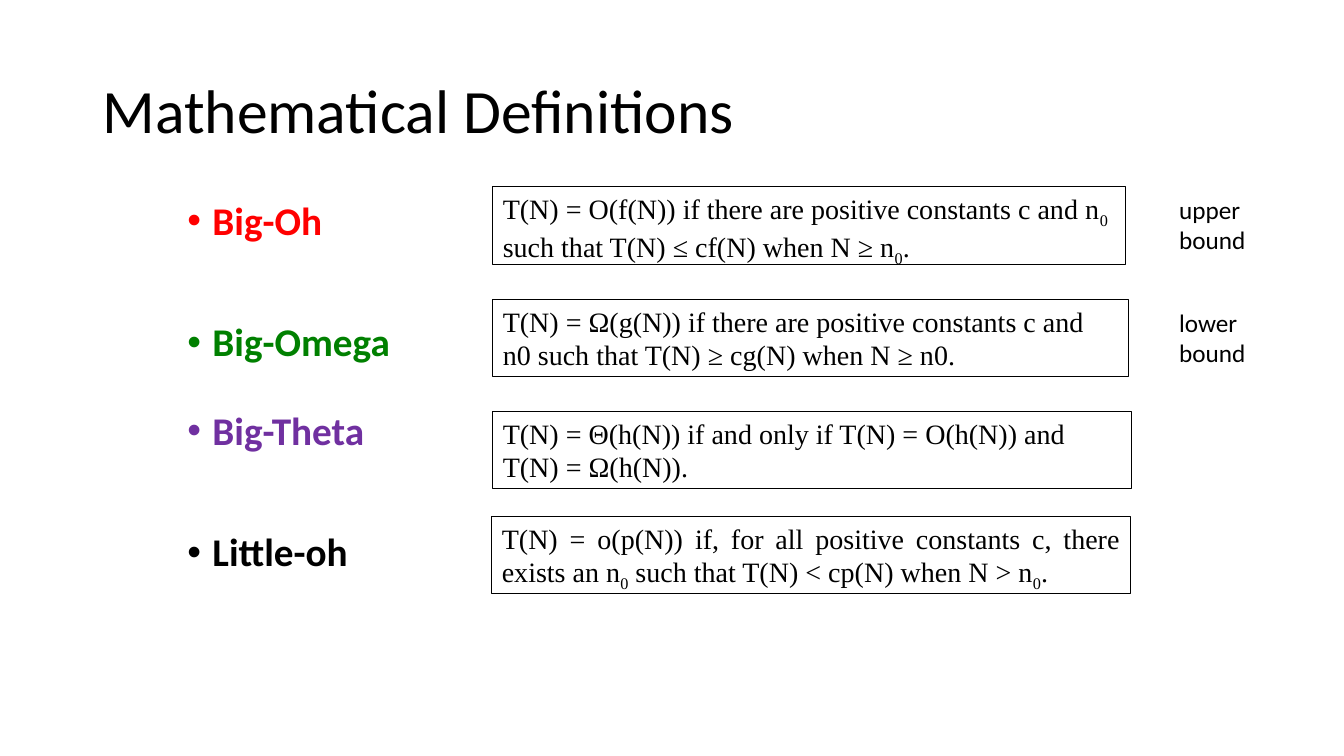
from dataclasses import dataclass

from lxml.etree import SubElement
from pptx import Presentation
from pptx.dml.color import RGBColor
from pptx.enum.shapes import MSO_SHAPE
from pptx.enum.text import MSO_ANCHOR, PP_ALIGN
from pptx.oxml.ns import qn
from pptx.shapes.autoshape import Shape
from pptx.slide import Slide
from pptx.util import Emu, Inches, Pt

BLACK = RGBColor(0x00, 0x00, 0x00)
RED = RGBColor(0xFF, 0x00, 0x00)
GREEN = RGBColor(0x00, 0x80, 0x00)
PURPLE = RGBColor(0x70, 0x30, 0xA0)

SLIDE_WIDTH, SLIDE_HEIGHT = Inches(13.33), Inches(7.5)
COLUMN, ROW = SLIDE_WIDTH / 40, SLIDE_HEIGHT / 30
STATEMENT_ROWS = 3.08
BOUND_DROP = 0.12
INDENT = Inches(0.25)


@dataclass(frozen=True)
class Definition:
    """One notation; underscores in the statement enclose subscripts."""
    term: str
    color: RGBColor
    gap_before: float
    statement: str
    column: float
    row: float
    columns: float
    align: PP_ALIGN = PP_ALIGN.LEFT
    bound: tuple[str, ...] = ()


DEFINITIONS = (
    Definition("Big-Oh", RED, 0,
               "T(N) = O(f(N)) if there are positive constants c and n_0_ "
               "such that T(N) ≤ cf(N) when N ≥ n_0_.",
               14.67, 7.4, 18.84, bound=("upper bound",)),
    Definition("Big-Omega", GREEN, 56.4,
               "T(N) = Ω(g(N)) if there are positive constants c and n0 "
               "such that T(N) ≥ cg(N) when N ≥ n0.",
               14.67, 11.88, 18.93, bound=("lower", "bound")),
    Definition("Big-Theta", PURPLE, 33.2,
               "T(N) = Θ(h(N)) if and only if T(N) = O(h(N)) and T(N) = Ω(h(N)).",
               14.67, 16.32, 19),
    Definition("Little-oh", BLACK, 56.4,
               "T(N) = o(p(N)) if, for all positive constants c, there exists "
               "an n_0_ such that T(N) < cp(N) when N > n_0_.",
               14.64, 20.48, 19, align=PP_ALIGN.JUSTIFY),
)


def grid_box(column: float, row: float, columns: float,
             rows: float) -> tuple[Emu, Emu, Emu, Emu]:
    return (Emu(round(column * COLUMN)), Emu(round(row * ROW)),
            Emu(round(columns * COLUMN)), Emu(round(rows * ROW)))


def add_text_area(slide: Slide, column: float, row: float, columns: float,
                  rows: float) -> Shape:
    area = slide.shapes.add_textbox(*grid_box(column, row, columns, rows))
    area.text_frame.word_wrap = True
    return area


def write(area: Shape, text: str, *, size: float, first: bool = True,
          font: str = "Calibri", color: RGBColor = BLACK, bold: bool = False,
          align: PP_ALIGN = PP_ALIGN.LEFT, spacing: float = 1.0,
          before: float = 0, bullet: bool = False) -> None:
    """Add one paragraph, or fill the empty first one."""
    frame = area.text_frame
    paragraph = frame.paragraphs[0] if first else frame.add_paragraph()
    paragraph.alignment = align
    paragraph.line_spacing = spacing
    paragraph.space_before = Pt(before)
    if bullet:
        properties = paragraph._p.get_or_add_pPr()
        properties.set("marL", str(INDENT))
        properties.set("indent", str(-INDENT))
        SubElement(properties, qn("a:buFont"), typeface="Arial")
        SubElement(properties, qn("a:buChar"), char="•")
    for index, part in enumerate(text.split("_")):
        run = paragraph.add_run()
        run.text = part
        run.font.name = font
        run.font.size = Pt(size)
        run.font.bold = bold
        run.font.color.rgb = color
        if index % 2:
            run.font._element.set("baseline", "-25000")


def add_statement(slide: Slide, definition: Definition) -> None:
    frame = slide.shapes.add_shape(MSO_SHAPE.RECTANGLE, *grid_box(
        definition.column, definition.row, definition.columns, STATEMENT_ROWS))
    frame.shadow.inherit = False
    frame.fill.background()
    frame.line.color.rgb = BLACK
    frame.line.width = Pt(0.75)
    frame.text_frame.word_wrap = True
    frame.text_frame.vertical_anchor = MSO_ANCHOR.TOP
    write(frame, definition.statement, size=20, font="Times New Roman",
          align=definition.align)


def add_bound(slide: Slide, definition: Definition) -> None:
    area = add_text_area(slide, 34.8, definition.row + BOUND_DROP, 3.36, 2.84)
    for index, line in enumerate(definition.bound):
        write(area, line, size=18, first=index == 0)


def main() -> None:
    presentation = Presentation()
    presentation.slide_width, presentation.slide_height = SLIDE_WIDTH, SLIDE_HEIGHT
    slide = presentation.slides.add_slide(presentation.slide_layouts[6])

    title = add_text_area(slide, 2.76, 1.6, 34.5, 5.8)
    title.text_frame.vertical_anchor = MSO_ANCHOR.MIDDLE
    write(title, "Mathematical Definitions", size=44, spacing=0.9)

    terms = add_text_area(slide, 5.28, 7.8, 19.41, 17.28)
    for index, definition in enumerate(DEFINITIONS):
        write(terms, definition.term, size=28, first=index == 0, bold=True,
              color=definition.color, spacing=0.9,
              before=definition.gap_before, bullet=True)
    for definition in DEFINITIONS:
        add_statement(slide, definition)
        if definition.bound:
            add_bound(slide, definition)

    presentation.save("out.pptx")


if __name__ == "__main__":
    main()
